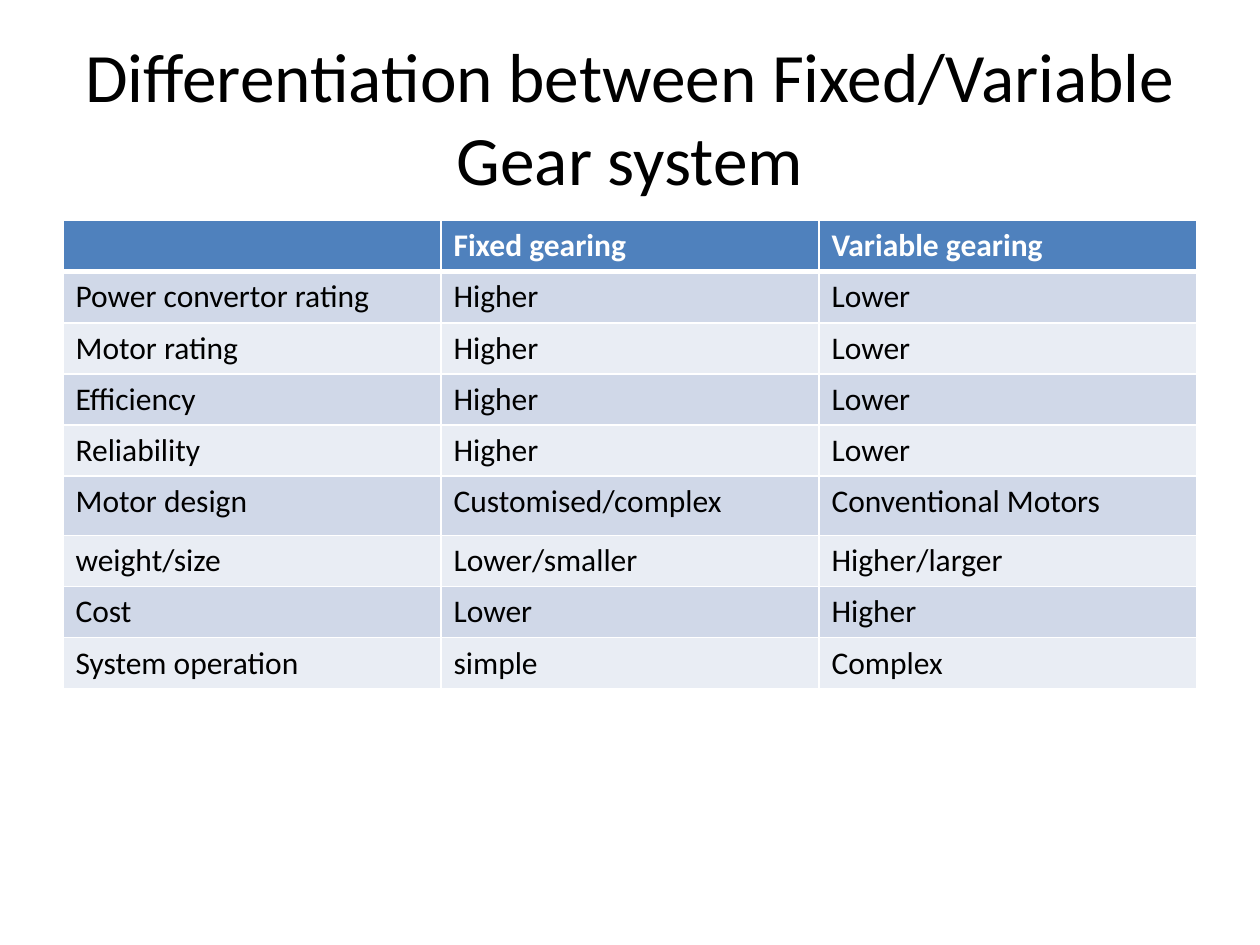
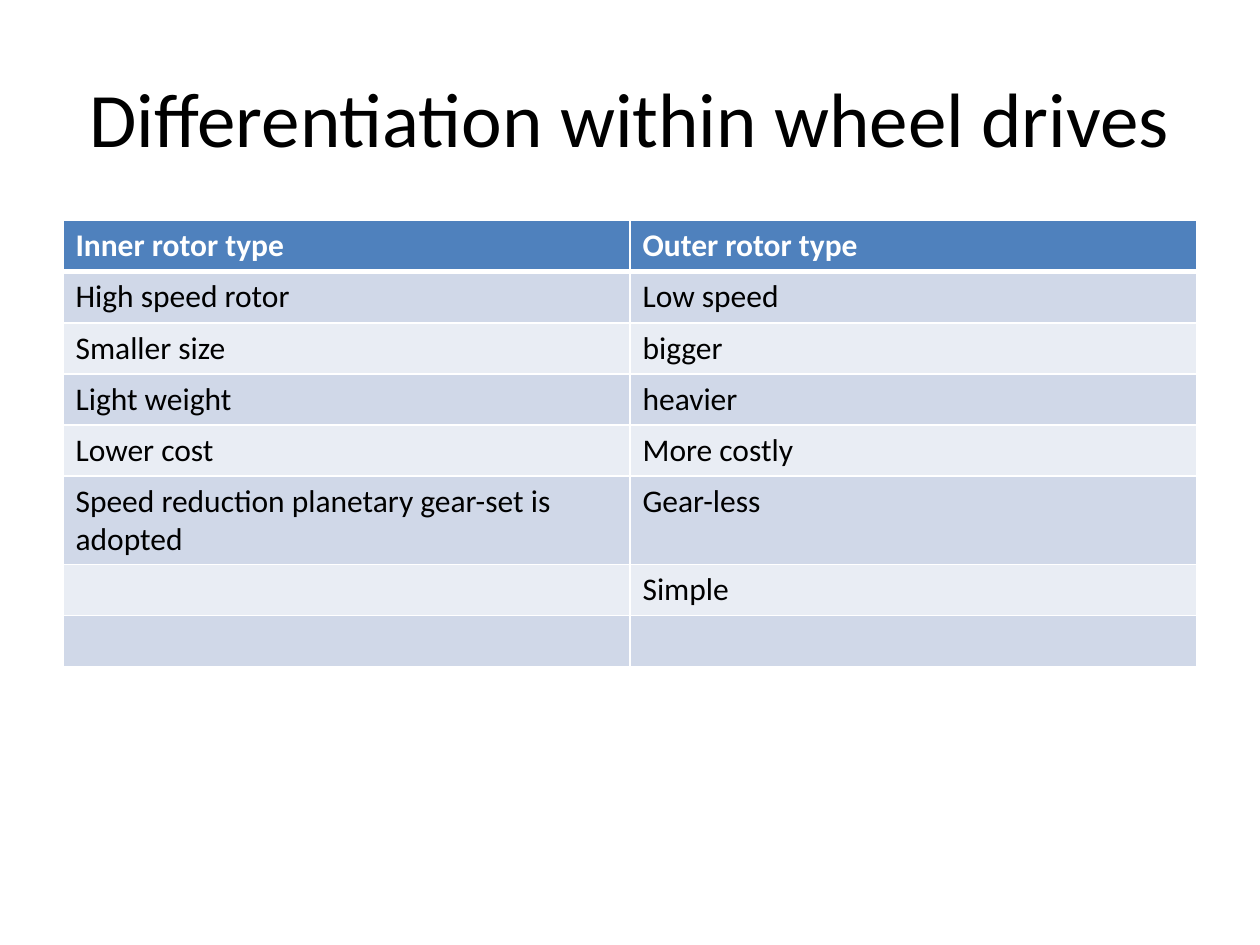
import pptx
import pptx.util
import pptx.dml.color
import pptx.enum.text
from lxml import etree
from pptx.oxml.ns import qn

Inches = pptx.util.Inches
Pt = pptx.util.Pt

FONT = "Calibri"
BLACK, WHITE = "000000", "FFFFFF"
HEADER_FILL = "4F81BD"
BAND_FILLS = ["D0D8E8", "E9EDF4"]
TITLE_BOX = (0.5, 0.3, 9, 1.25)
TABLE_LEFT, TABLE_TOP, TABLE_WIDTH = 0.5, 1.75, 9
ROW_HEIGHT = 3.25 / 8

GEARING_ROWS = [
    ["", "Fixed gearing", "Variable gearing"],
    ["Power convertor rating", "Higher", "Lower"],
    ["Motor rating", "Higher", "Lower"],
    ["Efficiency", "Higher", "Lower"],
    ["Reliability", "Higher", "Lower"],
    ["Motor design", "Customised/complex", "Conventional Motors"],
    ["weight/size", "Lower/smaller", "Higher/larger"],
    ["Cost", "Lower", "Higher"],
    ["System operation", "simple", "Complex"],
]
ROTOR_ROWS = [
    ["Inner rotor type", "Outer rotor type"],
    ["High speed rotor", "Low speed"],
    ["Smaller size", "bigger"],
    ["Light weight", "heavier"],
    ["Lower cost", "More costly"],
    ["Speed reduction planetary gear-set is adopted", "Gear-less"],
    ["", "Simple"],
    ["", ""],
]


def rgb(color):
    return pptx.dml.color.RGBColor.from_string(color)


def add_run(p, text, size, color, bold=False):
    r = p.add_run()
    r.text = text
    r.font.name = FONT
    r.font.size = Pt(size)
    r.font.bold = bold
    r.font.color.rgb = rgb(color)


def add_title(s, box, text, size):
    tf = s.shapes.add_textbox(*map(Inches, box)).text_frame
    tf.word_wrap = True
    tf.vertical_anchor = pptx.enum.text.MSO_ANCHOR.MIDDLE
    p = tf.paragraphs[0]
    p.alignment = pptx.enum.text.PP_ALIGN.CENTER
    add_run(p, text, size, BLACK)


def set_borders(cell, top, bottom):
    tc_pr = cell._tc.get_or_add_tcPr()
    for side, width in (("L", 1), ("R", 1), ("T", top), ("B", bottom)):
        ln = etree.SubElement(tc_pr, qn(f"a:ln{side}"), w=str(Pt(width)))
        fill = etree.SubElement(ln, qn("a:solidFill"))
        etree.SubElement(fill, qn("a:srgbClr"), val=WHITE)


def style_cell(cell, row, text):
    header = row == 0
    set_borders(cell, 3 if row == 1 else 1, 3 if header else 1)
    cell.fill.solid()
    cell.fill.fore_color.rgb = rgb(HEADER_FILL if header else BAND_FILLS[(row - 1) % 2])
    if text:
        add_run(cell.text_frame.paragraphs[0], text, 18, WHITE if header else BLACK, header)


def add_comparison(s, left, top, width, rows, tall_rows):
    heights = [tall_rows.get(i, ROW_HEIGHT) for i in range(len(rows))]
    columns = len(rows[0])
    box = map(Inches, (left, top, width, sum(heights)))
    table = s.shapes.add_table(len(rows), columns, *box).table
    for column in table.columns:
        column.width = Inches(width / columns)
    for i, texts in enumerate(rows):
        table.rows[i].height = Inches(heights[i])
        for j, text in enumerate(texts):
            style_cell(table.cell(i, j), i, text)


def add_comparison_slide(prs, title, title_size, rows, tall_rows):
    s = prs.slides.add_slide(prs.slide_layouts[6])
    add_title(s, TITLE_BOX, title, title_size)
    add_comparison(s, TABLE_LEFT, TABLE_TOP, TABLE_WIDTH, rows, tall_rows)


def main():
    prs = pptx.Presentation()
    prs.slide_width = Inches(10)
    prs.slide_height = Inches(7.5)
    add_comparison_slide(prs, "Differentiation between Fixed/Variable Gear system",
                         39.6, GEARING_ROWS, {5: 0.47})
    add_comparison_slide(prs, "Differentiation within wheel drives",
                         44, ROTOR_ROWS, {5: 0.7})
    prs.save("out.pptx")


if __name__ == "__main__":
    main()
